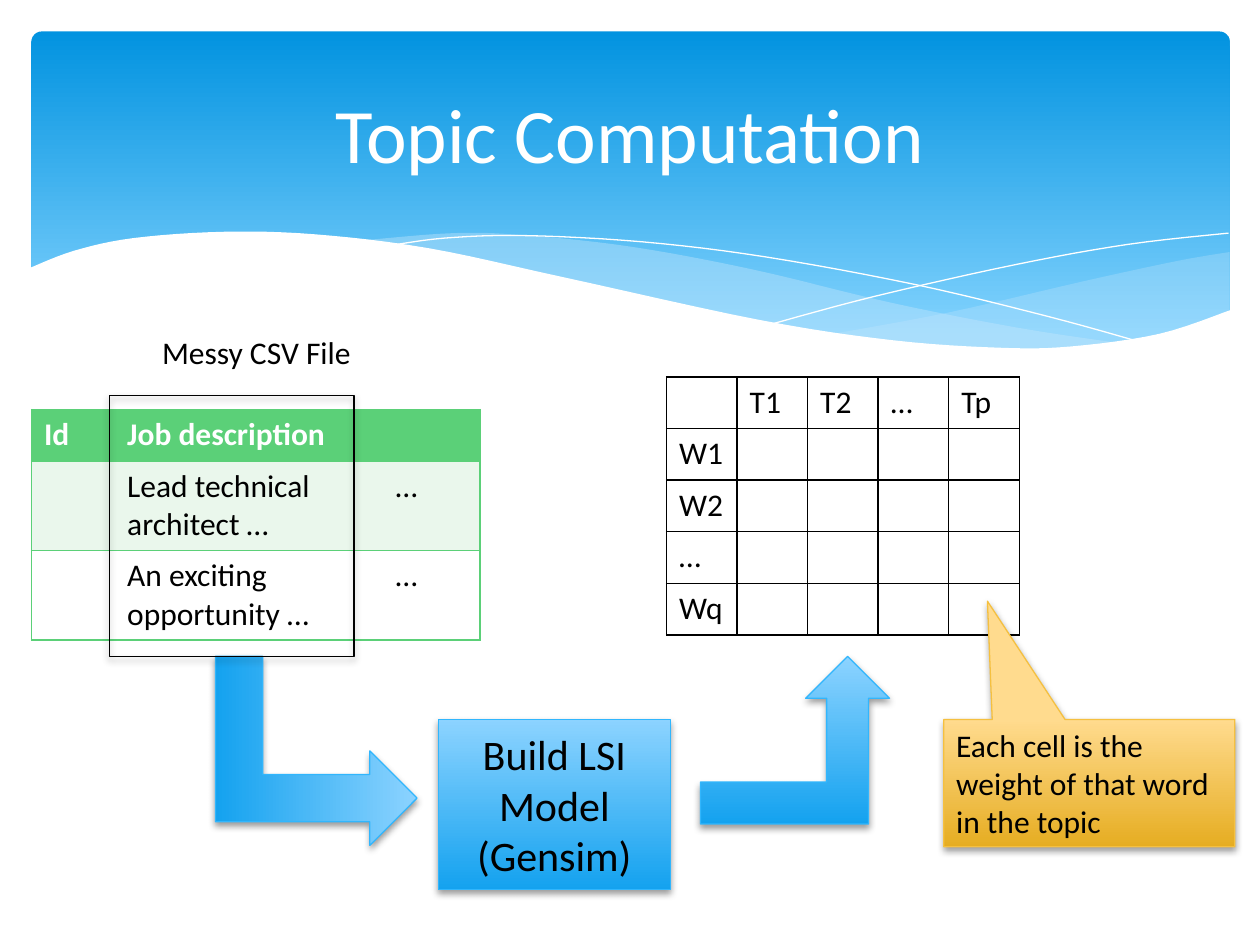
import pptx
import pptx.dml.color
import pptx.enum.shapes
import pptx.enum.text
import pptx.oxml
import pptx.oxml.ns
import pptx.util

Inches = pptx.util.Inches
Pt = pptx.util.Pt
SHAPES = pptx.enum.shapes.MSO_SHAPE
ANCHOR = pptx.enum.text.MSO_ANCHOR
ALIGN = pptx.enum.text.PP_ALIGN

FONT = "Calibri"
BLUE = ("8CD3FF", "14A2EF", "31B6FD")  # top, bottom, outline
GOLD = ("FFDB8E", "E6AD22", "F5C040")
GREEN, PALE_GREEN = "5BD078", "EAF7EC"
BLACK, WHITE, PALE_BLUE = "000000", "FFFFFF", "C6E7FC"

# Banner curves: points that a smooth curve passes through
RIGHT_WAVE_TOP = [(9.76, 2), (9.35, 2.07), (8.61, 2.23), (7.53, 2.48), (6.61, 2.65)]
RIGHT_WAVE_BOTTOM = [(6.61, 2.65), (7.19, 2.72), (8.03, 2.78), (8.72, 2.74),
                     (9.28, 2.63), (9.76, 2.47)]
LEFT_WAVE_TOP = [(8.93, 2.73), (8.07, 2.6), (7.06, 2.4), (5.98, 2.14), (5.02, 1.96),
                 (4.2, 1.87), (3.61, 1.85), (2.86, 1.91)]
LEFT_WAVE_BOTTOM = [(2.86, 1.91), (3.62, 2.03), (4.49, 2.22), (5.66, 2.48), (6.65, 2.66),
                    (7.48, 2.76), (8.18, 2.78), (8.93, 2.73)]
FALLING_LINE = [(3.09, 1.95), (3.53, 1.89), (4.16, 1.87), (5.1, 1.92), (6.08, 2.04),
                (7.27, 2.26), (8.31, 2.51), (9.07, 2.72)]
RISING_LINE = [(6.13, 2.57), (6.95, 2.35), (8.06, 2.1), (8.95, 1.94), (9.75, 1.85)]
WHITE_WAVE = [(9.77, 2.46), (9.2, 2.65), (8.5, 2.75), (7.93, 2.76), (7.08, 2.7),
              (6.03, 2.54), (4.47, 2.2), (3.4, 1.97), (2.5, 1.86), (1.77, 1.84),
              (1.06, 1.89), (0.59, 1.99), (0.23, 2.13)]


def color(value):
    return pptx.dml.color.RGBColor.from_string(value)


def apply_format(target, values):
    for name, value in values.items():
        setattr(target, name, value)


def box(left, top, width, height):
    return [Inches(value) for value in (left, top, width, height)]


def write_text(frame, text, size=18, text_color=BLACK, bold=False, align=None):
    paragraph = frame.paragraphs[0]
    paragraph.alignment = align
    run = paragraph.add_run()
    run.text = text
    apply_format(run.font, {"name": FONT, "size": Pt(size), "bold": bold})
    run.font.color.rgb = color(text_color)


def set_line(shape, line_color, width):
    shape.line.color.rgb = color(line_color)
    shape.line.width = Pt(width)


def set_gradient(shape, top_color, bottom_color, end=1.0):
    shape.fill.gradient()
    shape.fill.gradient_angle = 270
    stops = zip(shape.fill.gradient_stops, (top_color, bottom_color), (0, end))
    for stop, stop_color, position in stops:
        stop.color.rgb = color(stop_color)
        stop.position = position


def add_shadow(shape):
    shape.shadow.inherit = False
    effects = shape.element.spPr.find(pptx.oxml.ns.qn("a:effectLst"))
    effects.append(pptx.oxml.parse_xml(
        f'<a:outerShdw {pptx.oxml.ns.nsdecls("a")} blurRad="{Pt(4)}" dist="{Pt(2)}" '
        f'dir="5400000" rotWithShape="0"><a:srgbClr val="{BLACK}">'
        '<a:alpha val="38000"/></a:srgbClr></a:outerShdw>'))


def smooth(points, steps=6):
    """Catmull-Rom curve through the points."""
    padded = [points[0], *points, points[-1]]
    curve = [points[0]]
    for a, b, c, d in zip(padded, padded[1:], padded[2:], padded[3:]):
        for step in range(1, steps + 1):
            t = step / steps
            curve.append(tuple(
                0.5 * (2 * q + (r - p) * t + (2 * p - 5 * q + 4 * r - s) * t ** 2
                       + (3 * q - p - 3 * r + s) * t ** 3)
                for p, q, r, s in zip(a, b, c, d)))
    return curve


def add_outline(slide, points, closed):
    points = [(Inches(x), Inches(y)) for x, y in points]
    builder = slide.shapes.build_freeform(*points[0])
    builder.add_line_segments(points[1:], close=closed)
    shape = builder.convert_to_shape()
    shape.shadow.inherit = False
    return shape


def add_wave(slide, points, fill_color, opacity=100):
    shape = add_outline(slide, points, True)
    shape.fill.solid()
    shape.fill.fore_color.rgb = color(fill_color)
    shape.line.fill.background()
    fill = shape.element.spPr.find(pptx.oxml.ns.qn("a:solidFill"))
    fill[0].append(pptx.oxml.parse_xml(
        f'<a:alpha {pptx.oxml.ns.nsdecls("a")} val="{opacity * 1000}"/>'))


def add_banner(slide):
    banner = slide.shapes.add_shape(SHAPES.ROUNDED_RECTANGLE, *box(0.25, 0.25, 9.51, 2.7))
    banner.adjustments[0] = 0.03
    banner.shadow.inherit = False
    banner.line.fill.background()
    set_gradient(banner, "0293E0", "83D3FE", 0.9)
    add_wave(slide, smooth(RIGHT_WAVE_TOP) + smooth(RIGHT_WAVE_BOTTOM), PALE_BLUE, 29)
    add_wave(slide, smooth(LEFT_WAVE_TOP) + smooth(LEFT_WAVE_BOTTOM), PALE_BLUE, 40)
    for points in (FALLING_LINE, RISING_LINE):
        line = add_outline(slide, smooth(points), False)
        line.fill.background()
        set_line(line, WHITE, 0)
    add_wave(slide, smooth(WHITE_WAVE) + [(0.23, 3.29), (9.77, 3.29)], WHITE)


def add_title(slide, text):
    title = slide.shapes.title
    slide.shapes.element.append(title.element)  # in front of the banner
    position = zip(("left", "top", "width", "height"), box(0.5, 0.37, 9, 1.37))
    apply_format(title, dict(position))
    title.text_frame.vertical_anchor = ANCHOR.MIDDLE
    write_text(title.text_frame, text, 44, WHITE, align=ALIGN.CENTER)


def add_block(slide, kind, position, colors, rotation=0):
    shape = slide.shapes.add_shape(kind, *box(*position))
    shape.rotation = rotation
    set_gradient(shape, *colors[:2])
    set_line(shape, colors[2], 0.75)
    add_shadow(shape)
    apply_format(shape.text_frame, {"word_wrap": True, "vertical_anchor": ANCHOR.MIDDLE})
    return shape


def set_borders(cell, line_color, sides):
    properties = cell._tc.get_or_add_tcPr()
    for side in "LRTB":
        paint = (f'<a:solidFill><a:srgbClr val="{line_color}"/></a:solidFill>'
                 if side in sides else "<a:noFill/>")
        properties.append(pptx.oxml.parse_xml(
            f'<a:ln{side} {pptx.oxml.ns.nsdecls("a")} w="{Pt(1)}">{paint}</a:ln{side}>'))


def add_grid(slide, position, widths, heights, texts, line_color, fills=None):
    """Filled rows have no inner vertical borders; open grids have every border."""
    table = slide.shapes.add_table(len(heights), len(widths), *box(*position)).table
    apply_format(table, {"first_row": False, "horz_banding": False})
    for column, width in zip(table.columns, widths):
        column.width = Inches(width)
    for row_index, (row, height) in enumerate(zip(table.rows, heights)):
        row.height = Inches(height)
        for column_index, cell in enumerate(row.cells):
            sides = "LRTB"
            if fills:
                sides = {0: "LTB", len(widths) - 1: "RTB"}.get(column_index, "TB")
            set_borders(cell, line_color, sides)
            if fills:
                cell.fill.solid()
                cell.fill.fore_color.rgb = color(fills[row_index])
            else:
                cell.fill.background()
            text = texts[row_index][column_index]
            header = bool(fills) and row_index == 0
            if text:
                write_text(cell.text_frame, text, 18, WHITE if header else BLACK, header)


def main():
    presentation = pptx.Presentation()
    apply_format(presentation, {"slide_width": Inches(10), "slide_height": Inches(7.5)})
    slide = presentation.slides.add_slide(presentation.slide_layouts[5])
    add_banner(slide)
    add_title(slide, "Topic Computation")

    # Source file
    jobs = [["Id", "Job description", ""],
            ["", "Lead technical architect …", "…"],
            ["", "An exciting opportunity …", "…"]]
    add_grid(slide, (0.25, 3.25, 3.57, 1.81), [0.66, 2.13, 0.77], [0.41, 0.7, 0.7],
             jobs, GREEN, [GREEN, PALE_GREEN, WHITE])

    # Model and flow arrows
    model = add_block(slide, SHAPES.FLOWCHART_PROCESS, (3.48, 5.71, 1.84, 1.35), BLUE)
    write_text(model.text_frame, "Build LSI Model (Gensim)", 24, align=ALIGN.CENTER)
    add_block(slide, SHAPES.BENT_UP_ARROW, (1.76, 5.16, 1.5, 1.6), BLUE, 90)
    add_block(slide, SHAPES.BENT_UP_ARROW, (5.56, 5.21, 1.5, 1.33), BLUE)

    # File label and frame around the description column
    label = slide.shapes.add_textbox(*box(0.25, 2.59, 3.57, 0.4))
    label.text_frame.word_wrap = True
    write_text(label.text_frame, "Messy CSV File", align=ALIGN.CENTER)
    frame = slide.shapes.add_shape(SHAPES.RECTANGLE, *box(0.87, 3.14, 1.94, 2.07))
    frame.fill.background()
    set_line(frame, BLACK, 0.75)
    add_shadow(frame)

    # Word by topic matrix
    topics = ["T1", "T2", "…", "Tp"]
    words = ["W1", "W2", "…", "Wq"]
    matrix = [["", *topics]] + [[word] + [""] * len(topics) for word in words]
    add_grid(slide, (5.29, 2.99, 2.82, 2.03), [0.56] * 5, [0.41] * 5, matrix, BLACK)
    callout = add_block(slide, SHAPES.RECTANGULAR_CALLOUT, (7.49, 5.71, 2.31, 1.01), GOLD)
    callout.adjustments[0], callout.adjustments[1] = -0.35, -1.43
    write_text(callout.text_frame, "Each cell is the weight of that word in the topic",
               align=ALIGN.LEFT)

    presentation.save("out.pptx")


if __name__ == "__main__":
    main()
